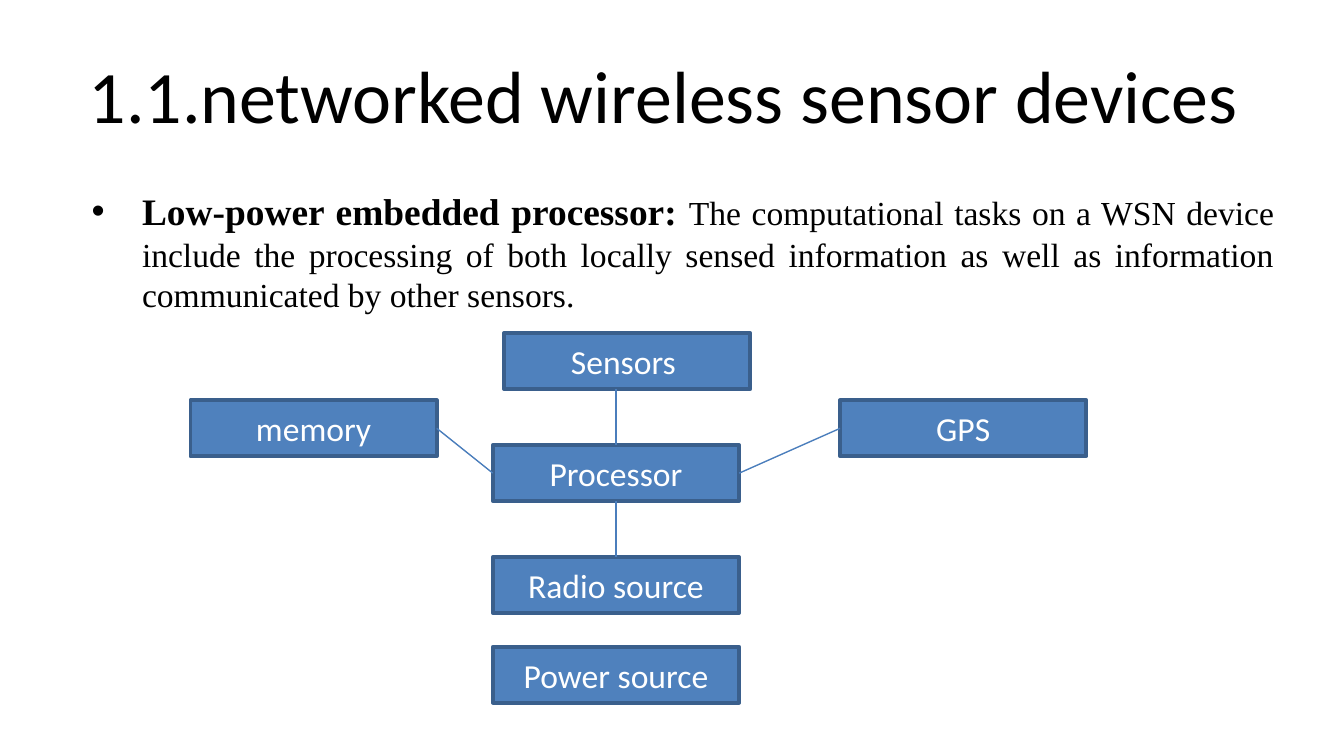
from lxml.etree import SubElement
from pptx import Presentation
from pptx.dml.color import RGBColor
from pptx.enum.shapes import MSO_CONNECTOR as Connector, MSO_SHAPE as Shape
from pptx.enum.text import MSO_ANCHOR as Anchor, PP_ALIGN as Align
from pptx.oxml.ns import qn
from pptx.util import Pt

BOX_WIDTH, BOX_HEIGHT = 132, 30
TOP, LEFT, BOTTOM, RIGHT = range(4)
TITLE_FONT = {"name": "Calibri", "size": Pt(39.6)}
LABEL_FONT = {"name": "Calibri", "size": Pt(18)}
LEAD_FONT = {"name": "Times New Roman", "size": Pt(20), "bold": True}
BODY_FONT = {"name": "Times New Roman", "size": Pt(18), "bold": False}

# Label: left, top
BLOCKS = {
    "Sensors ": (270, 178.5),
    "Processor": (264, 238.5),
    "Radio source": (264, 298.5),
    "memory": (102, 214.5),
    "GPS": (450, 214.5),
    "Power source": (264, 346.5),
}


def color(value):
    return RGBColor.from_string(value)


def add_span(para, text, font, hex_color="000000"):
    span = para.add_run()
    span.text = text
    for name, value in font.items():
        setattr(span.font, name, value)
    span.font.color.rgb = color(hex_color)


def add_text_box(page, left, top, width, height, anchor, align):
    box = page.shapes.add_textbox(Pt(left), Pt(top), Pt(width), Pt(height))
    frame = box.text_frame
    frame.word_wrap = True
    frame.vertical_anchor = anchor
    para = frame.paragraphs[0]
    para.alignment = align
    return para


def add_bullet(para, indent):
    props = para._p.get_or_add_pPr()
    props.set("marL", str(Pt(indent)))
    props.set("indent", str(-Pt(indent)))
    SubElement(props, qn("a:buFont"), typeface="Arial")
    SubElement(props, qn("a:buChar"), char="•")


def add_block(page, label, left, top):
    block = page.shapes.add_shape(
        Shape.RECTANGLE, Pt(left), Pt(top), Pt(BOX_WIDTH), Pt(BOX_HEIGHT))
    block.shadow.inherit = False
    block.fill.solid()
    block.fill.fore_color.rgb = color("4F81BD")
    block.line.color.rgb = color("3A5F8C")
    block.line.width = Pt(2)
    block.text_frame.vertical_anchor = Anchor.MIDDLE
    para = block.text_frame.paragraphs[0]
    para.alignment = Align.CENTER
    add_span(para, label, LABEL_FONT, "FFFFFF")
    return block


def add_line(page, start=(0, 0), end=(0, 0), begin_at=None, end_at=None):
    """Draw a line; begin_at and end_at are (block, side) joints."""
    line = page.shapes.add_connector(
        Connector.STRAIGHT, *(Pt(value) for value in (*start, *end)))
    if begin_at:
        line.begin_connect(*begin_at)
    if end_at:
        line.end_connect(*end_at)
    line.line.color.rgb = color("4B7EBC")
    line.line.width = Pt(0.75)
    SubElement(line._element.spPr, qn("a:effectLst"))


def main():
    deck = Presentation()
    deck.slide_width, deck.slide_height = Pt(720), Pt(405)
    page = deck.slides.add_slide(deck.slide_layouts[6])

    # Title
    title = add_text_box(page, 36, 16.5, 648, 67.5, Anchor.MIDDLE, Align.CENTER)
    add_span(title, "1.1.networked wireless sensor devices ", TITLE_FONT)

    # Description
    body = add_text_box(page, 42, 97.5, 648, 267, Anchor.TOP, Align.JUSTIFY)
    body.space_before = Pt(4)
    add_bullet(body, 27)
    add_span(body, "Low-power embedded processor: ", LEAD_FONT)
    add_span(body, "The computational tasks on a WSN device include the "
             "processing of both locally sensed information as well as "
             "information communicated by other sensors.", BODY_FONT)

    # Block diagram
    blocks = {label: add_block(page, label, *place)
              for label, place in BLOCKS.items()}
    processor = blocks["Processor"]

    # Links
    add_line(page, begin_at=(blocks["memory"], RIGHT), end_at=(processor, LEFT))
    add_line(page, begin_at=(processor, RIGHT), end_at=(blocks["GPS"], LEFT))
    add_line(page, begin_at=(blocks["Radio source"], TOP),
             end_at=(processor, BOTTOM))
    # Upright link, which meets the wider-set Sensors block off its middle
    add_line(page, end=(330, 208.5), begin_at=(processor, TOP))

    deck.save("out.pptx")


if __name__ == "__main__":
    main()
